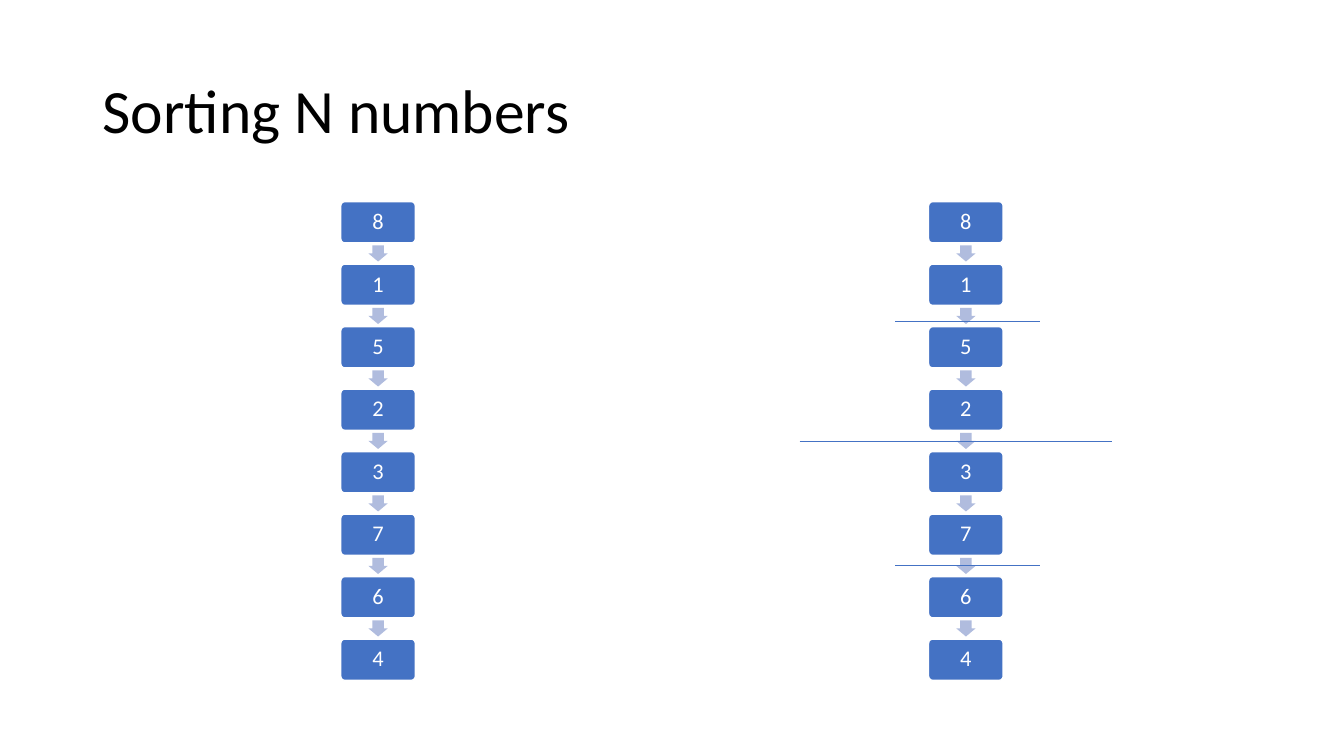
from lxml.etree import SubElement
from pptx import Presentation
from pptx.dml.color import RGBColor
from pptx.enum.shapes import MSO_CONNECTOR, MSO_SHAPE
from pptx.enum.text import MSO_ANCHOR, PP_ALIGN
from pptx.oxml.ns import qn
from pptx.util import Pt

SCALE = 9144
BLUE, PALE, WHITE, BLACK = "4472C4", "B0BCDE", "FFFFFF", "000000"
NUMBERS = "81523764"
STEP = 62
CUTS = [(-128, 238, 310), (-33, 119, 144), (-33, 361, 144)]


def px(*sizes):
    """Turn px lengths into EMU."""
    return [size * SCALE for size in sizes]


def tint(color, value):
    """Set a colour from a hex string."""
    color.rgb = RGBColor.from_string(value)


def apply(target, values):
    """Set each attribute named in a dict."""
    for name, value in values.items():
        setattr(target, name, value)


def write(shape, text, size, color, inset, align):
    """Put one middle-anchored line of text in a shape."""
    frame = shape.text_frame
    side, edge = px(*inset)
    apply(frame, {"word_wrap": True, "vertical_anchor": MSO_ANCHOR.MIDDLE,
                  "margin_left": side, "margin_right": side,
                  "margin_top": edge, "margin_bottom": edge})
    line = frame.paragraphs[0]
    apply(line, {"alignment": align, "line_spacing": 0.9})
    run = line.add_run()
    run.text = text
    apply(run.font, {"name": "Calibri", "size": Pt(size)})
    tint(run.font.color, color)


def draw(shapes, kind, box, fill, ratios):
    """Add a flat filled preset shape without an outline."""
    shape = shapes.add_shape(kind, *px(*box))
    shape.shadow.inherit = False
    shape.fill.solid()
    tint(shape.fill.fore_color, fill)
    shape.line.fill.background()
    for index, ratio in enumerate(ratios):
        shape.adjustments[index] = ratio
    return shape


def title(slide, box, text):
    """Write the slide title."""
    shape = slide.shapes.add_textbox(*px(*box))
    write(shape, text, 44, BLACK, (10, 5), PP_ALIGN.LEFT)


def chain(slide, box, numbers):
    """Stack numbered tiles joined by down-turned arrows."""
    left, top, wide, high = box
    shapes = slide.shapes.add_group_shape().shapes
    for index, number in enumerate(numbers):
        y = top + index * STEP
        if index:
            arrow = draw(shapes, MSO_SHAPE.RIGHT_ARROW,
                         (left + 29, y - 20, 16, 19), PALE, (0.6, 0.5))
            arrow.rotation = 90
        tile = draw(shapes, MSO_SHAPE.ROUNDED_RECTANGLE,
                    (left, y, wide, high), BLUE, (0.1,))
        tint(tile.line.color, WHITE)
        tile.line.width = Pt(1)
        write(tile, number, 16, WHITE, (7, 7), PP_ALIGN.CENTER)


def split(slide, box, cuts):
    """Rule lines across a chain where it is divided."""
    left, top = box[:2]
    for x, y, wide in cuts:
        ends = px(left + x, top + y, left + x + wide, top + y)
        rule = slide.shapes.add_connector(MSO_CONNECTOR.STRAIGHT, *ends)
        tint(rule.line.color, BLUE)
        rule.line.width = Pt(0.5)
        SubElement(rule._element.spPr, qn("a:effectLst"))


def main():
    """Build and save the slide."""
    deck = Presentation()
    wide, high = px(1333, 750)
    apply(deck, {"slide_width": wide, "slide_height": high})
    slide = deck.slides.add_slide(deck.slide_layouts[6])
    title(slide, (92, 40, 1150, 145), "Sorting N numbers")
    whole, parts = [(left, 200, 74, 41) for left in (338, 921)]
    for box in (whole, parts):
        chain(slide, box, NUMBERS)
    split(slide, parts, CUTS)
    deck.save("out.pptx")


if __name__ == "__main__":
    main()
